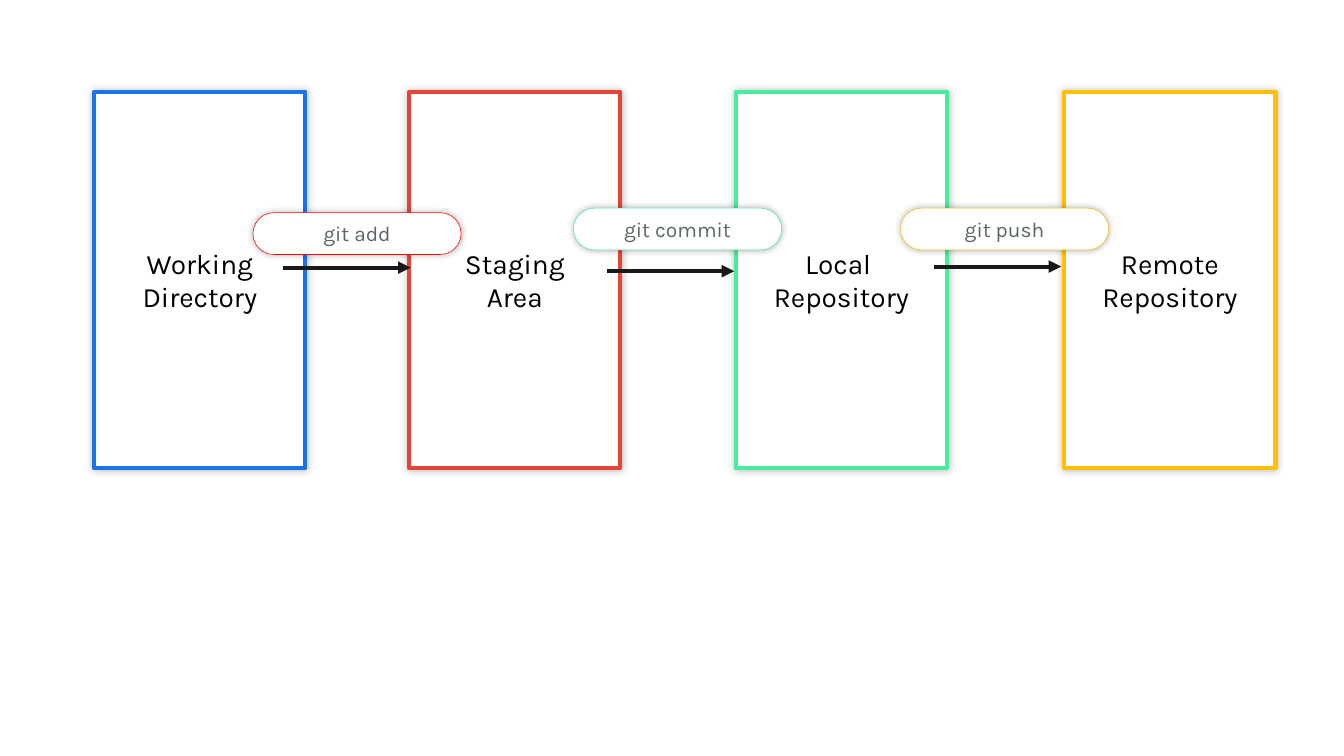
from pptx import Presentation
from pptx.dml.color import RGBColor
from pptx.enum.shapes import MSO_CONNECTOR, MSO_SHAPE
from pptx.enum.text import MSO_ANCHOR, PP_ALIGN
from pptx.oxml import parse_xml
from pptx.oxml.ns import nsdecls, qn
from pptx.util import Pt

PX = 9144
COLORS = {
    "white": "FFFFFF",
    "black": "000000",
    "grey": "5F6368",
    "arrow": "191919",
    "blue": "1A73E8",
    "brick": "E84435",
    "red": "FF0000",
    "green": "46ED9C",
    "yellow": "FFC000",
}


def rgb(name):
    return RGBColor.from_string(COLORS[name])


def add_box(left, top, width, height, corner, outline, line_pt, lines,
            size, ink, blur_pt, shade):
    box = slide.shapes.add_shape(
        MSO_SHAPE.ROUNDED_RECTANGLE, left * PX, top * PX, width * PX, height * PX)
    box.adjustments[0] = corner
    box.fill.solid()
    box.fill.fore_color.rgb = rgb("white")
    box.line.color.rgb = rgb(outline)
    box.line.width = Pt(line_pt)
    box.shadow.inherit = False
    box._element.spPr.find(qn("a:effectLst")).append(parse_xml(
        f'<a:outerShdw {nsdecls("a")} blurRad="{Pt(blur_pt)}" dist="0" dir="0" '
        f'algn="ctr" rotWithShape="0"><a:srgbClr val="{COLORS["black"]}">'
        f'<a:alpha val="{shade * 1000}"/></a:srgbClr></a:outerShdw>'))
    frame = box.text_frame
    frame.margin_left = frame.margin_right = 0
    frame.margin_top = frame.margin_bottom = 0
    frame.vertical_anchor = MSO_ANCHOR.MIDDLE
    frame.word_wrap = True
    frame.text = "\n".join(lines)
    for paragraph in frame.paragraphs:
        paragraph.alignment = PP_ALIGN.CENTER
        for run in paragraph.runs:
            run.font.name = "Karla"
            run.font.size = Pt(size)
            run.font.color.rgb = rgb(ink)


prs = Presentation()
prs.slide_width = 2667 * PX
prs.slide_height = 1500 * PX
slide = prs.slides.add_slide(prs.slide_layouts[6])

stages = [
    (187, "blue", ["Working", "Directory"]),
    (812, "brick", ["Staging", "Area"]),
    (1460, "green", ["Local ", "Repository"]),
    (2112, "yellow", ["Remote", "Repository"]),
]
for left, outline, lines in stages:
    add_box(left, 182, 419, 747, 0, outline, 6, lines, 40, "black", 12, 25)

for start, level in [(562, 531), (1204, 538), (1853, 529)]:
    arrow = slide.shapes.add_connector(
        MSO_CONNECTOR.STRAIGHT, start * PX, level * PX, (start + 253) * PX, level * PX)
    arrow.line.color.rgb = rgb("arrow")
    arrow.line.width = Pt(6)
    arrow.line._get_or_add_ln().append(
        parse_xml(f'<a:tailEnd {nsdecls("a")} type="triangle"/>'))
    arrow._element.spPr.append(parse_xml(f'<a:effectLst {nsdecls("a")}/>'))

commands = [
    (502, 422, "red", "git add"),
    (1138, 413, "green", "git commit"),
    (1787, 413, "yellow", "git push"),
]
for left, top, outline, command in commands:
    add_box(left, top, 413, 83, 0.5, outline, 0, [command], 30, "grey", 10, 30)

prs.save("out.pptx")
